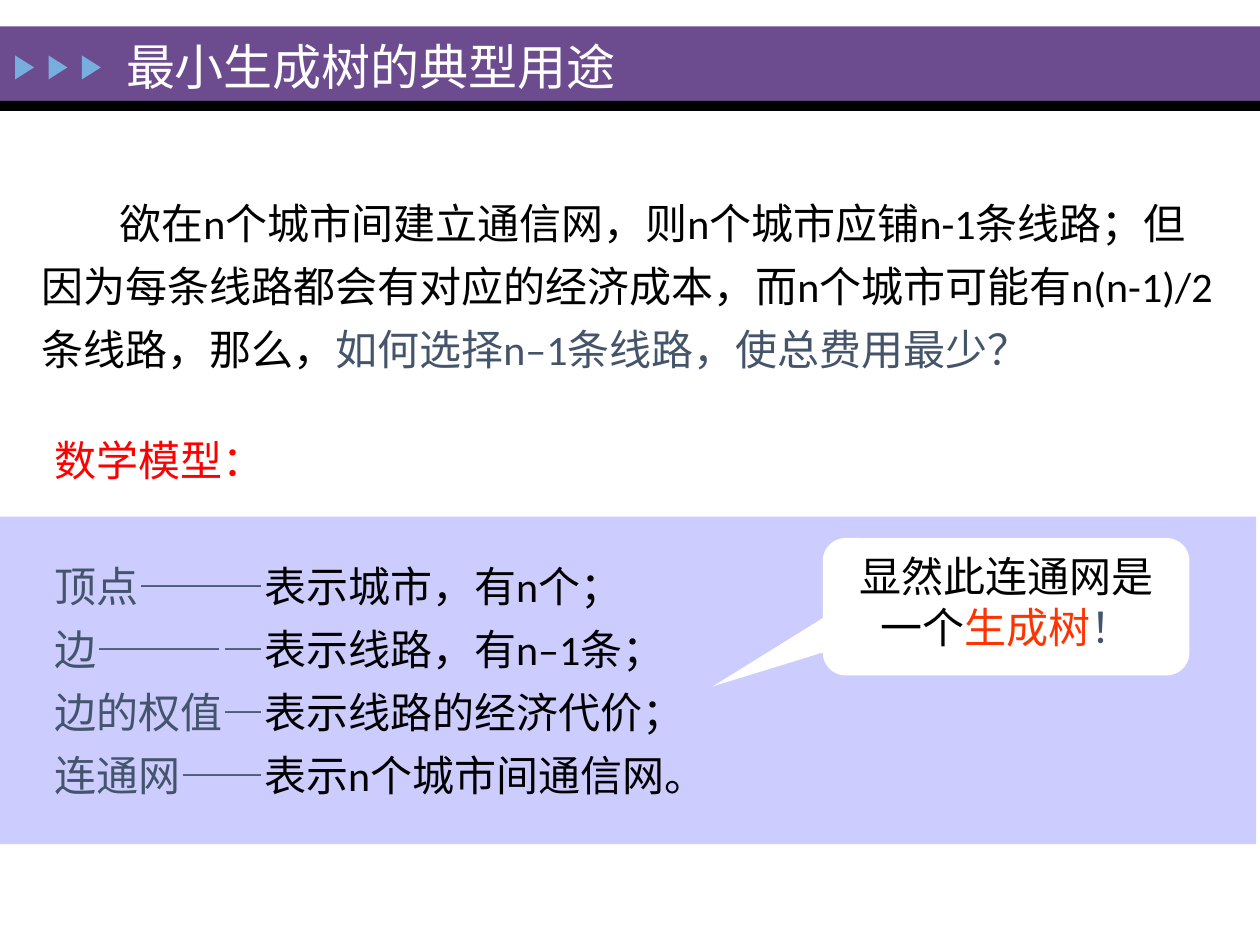
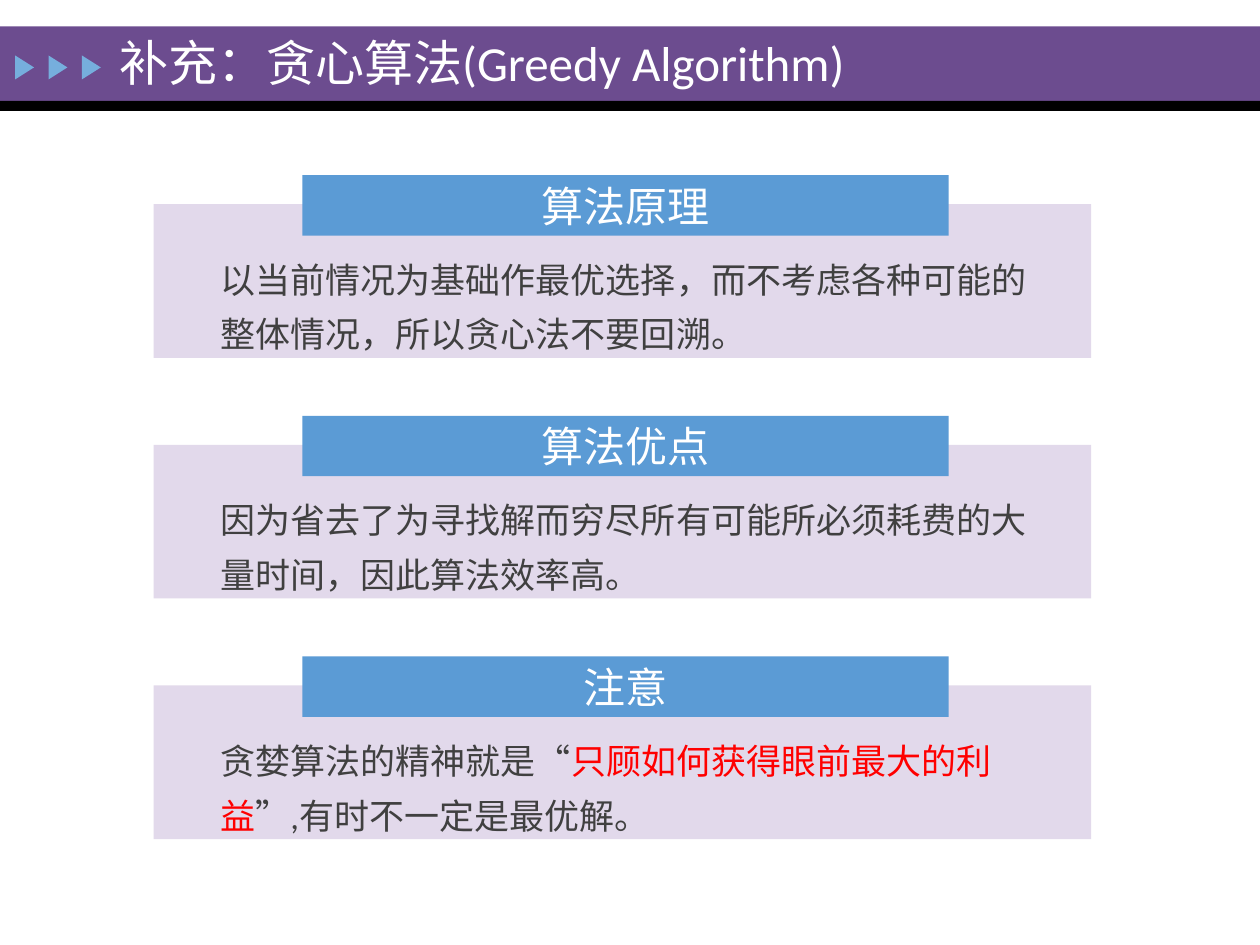
from pptx import Presentation
from pptx.dml.color import RGBColor
from pptx.enum.shapes import MSO_SHAPE
from pptx.enum.text import MSO_ANCHOR, MSO_AUTO_SIZE, PP_ALIGN
from pptx.oxml.ns import qn
from pptx.util import Inches, Pt

COLORS = {
    "band": "6C4C8F", "black": "000000", "arrow": "76AEDD", "white": "FFFFFF",
    "panel": "CCCCFF", "slate": "44546A", "red": "FF0000", "orange": "FF3300",
    "card": "E2D9EB", "label": "5B9BD5", "gray": "404040",
}
FONT = "Calibri"
COLUMNS, ROWS = 100, 75
TITLE_ONLY, TITLE_AND_BODY = 5, 1


class SlideBuilder:
    """Places elements on a grid of 100 columns by 75 rows."""

    def __init__(self):
        self.deck = Presentation()
        self.deck.slide_width, self.deck.slide_height = Inches(10), Inches(7.5)
        self.page = self.target = None

    def area(self, left, top, width, height):
        column = self.deck.slide_width / COLUMNS
        row = self.deck.slide_height / ROWS
        return [round(n) for n in (left * column, top * row, width * column, height * row)]

    def move(self, box, area):
        box.left, box.top, box.width, box.height = self.area(*area)

    def start_page(self, layout, title, area):
        self.page = self.deck.slides.add_slide(self.deck.slide_layouts[layout])
        self.target = self.page.shapes
        box = self.page.shapes.title
        self.move(box, area)
        self.set_text(box, [[(title, "white")]], size=28, anchor=MSO_ANCHOR.MIDDLE)

    def shape(self, kind, area, fill):
        shape = self.target.add_shape(kind, *self.area(*area))
        shape.shadow.inherit = False
        shape.fill.solid()
        shape.fill.fore_color.rgb = RGBColor.from_string(COLORS[fill])
        shape.line.fill.background()
        return shape

    def text(self, area, paragraphs, **style):
        box = self.target.add_textbox(*self.area(*area))
        self.set_text(box, paragraphs, **style)

    def body(self, area, paragraphs, **style):
        box = self.page.placeholders[1]
        self.move(box, area)
        self.set_text(box, paragraphs, **style)
        # Keep the list in front of the shapes already drawn.
        self.page.shapes.element.append(box.element)
        return box.text_frame.paragraphs

    def set_text(self, box, paragraphs, size=24, align=PP_ALIGN.LEFT,
                 anchor=MSO_ANCHOR.TOP, spacing=1.0, margin=0, indent=0):
        """Fill a box with paragraphs, each a list of (text, colour) spans."""
        frame = box.text_frame
        frame.word_wrap = True
        frame.auto_size = MSO_AUTO_SIZE.NONE
        frame.vertical_anchor = anchor
        for index, spans in enumerate(paragraphs):
            para = frame.add_paragraph() if index else frame.paragraphs[0]
            para.alignment = align
            para.line_spacing = spacing
            para.space_before = para.space_after = Pt(0)
            properties = para._p.get_or_add_pPr()
            properties.set("marL", str(Inches(margin)))
            properties.set("indent", str(Inches(indent)))
            properties.append(properties.makeelement(qn("a:buNone"), {}))
            para.font.name, para.font.size = FONT, Pt(size)
            para.font.bold = False
            for words, color in spans:
                span = para.add_run()
                span.text = words
                font = span.font if len(spans) > 1 else para.font
                font.color.rgb = RGBColor.from_string(COLORS[color])

    def header(self):
        """Draw the title band and move it to the master, shared by all pages."""
        parts = [
            self.shape(MSO_SHAPE.RECTANGLE, (0, 2.1, COLUMNS, 5.9), "band"),
            self.shape(MSO_SHAPE.RECTANGLE, (0, 8, COLUMNS, 0.8), "black"),
        ]
        for index in range(3):
            arrow = self.shape(MSO_SHAPE.ISOSCELES_TRIANGLE,
                               (1 + 2.65 * index, 4.6, 1.9, 1.5), "arrow")
            arrow.rotation = 90
            parts.append(arrow)
        for part in parts:
            self.deck.slide_master.shapes.element.append(part.element)

    def card(self, top, label, spans):
        self.target = self.page.shapes.add_group_shape().shapes
        self.shape(MSO_SHAPE.RECTANGLE, (12.2, top + 2.3, 74.4, 12.2), "card")
        tab = self.shape(MSO_SHAPE.RECTANGLE, (24, top, 51.3, 4.8), "label")
        self.set_text(tab, [[(label, "white")]], align=PP_ALIGN.CENTER,
                      anchor=MSO_ANCHOR.MIDDLE)
        self.text((16.5, top + 5.1, 66.1, 9.3), [spans], size=20, spacing=1.3)
        self.target = self.page.shapes


def build_uses(builder):
    builder.start_page(TITLE_AND_BODY, "最小生成树的典型用途", (9, 2.4, 55.9, 5.6))
    builder.header()
    builder.shape(MSO_SHAPE.RECTANGLE, (-0.3, 41, COLUMNS, 26), "panel")
    builder.text((2.3, 14.2, 95, 16.2), [[
        ("欲在n个城市间建立通信网，则n个城市应铺n-1条线路；但因为每条线路都会有对应的"
         "经济成本，而n个城市可能有n(n-1)/2 条线路，那么，", "black"),
        ("如何选择n–1条线路，使总费用最少？", "slate"),
    ]], spacing=1.25, indent=0.62)

    definitions = [
        ("顶点———", "表示城市，有n个；"),
        ("边————", "表示线路，有n–1条；"),
        ("边的权值—", "表示线路的经济代价；"),
        ("连通网——", "表示n个城市间通信网。"),
    ]
    model = [[("数学模型：", "red")]]
    model += [[(term, "slate"), (meaning, "black")] for term, meaning in definitions]
    lines = builder.body((3.3, 33, 57, 31.3), model, spacing=1.25,
                         margin=0.42, indent=-0.42)
    lines[1].space_before = Pt(36)

    callout = builder.shape(MSO_SHAPE.ROUNDED_RECTANGULAR_CALLOUT,
                            (65.3, 42.7, 29.1, 10.9), "white")
    callout.adjustments[0], callout.adjustments[1] = -0.8, 0.58
    builder.set_text(callout, [[("显然此连通网是一个", "black"), ("生成树", "orange"),
                                ("！", "slate")]], align=PP_ALIGN.CENTER)


def build_greedy(builder):
    builder.start_page(TITLE_ONLY, "补充：贪心算法(Greedy Algorithm)",
                       (8.5, 2.1, 71.6, 5.6))
    cards = [
        ("算法原理", [("以当前情况为基础作最优选择，而不考虑各种可能的整体情况，"
                   "所以贪心法不要回溯。", "gray")]),
        ("算法优点", [("因为省去了为寻找解而穷尽所有可能所必须耗费的大量时间，"
                   "因此算法效率高。", "gray")]),
        ("注意", [("贪婪算法的精神就是“", "gray"), ("只顾如何获得眼前最大的利益", "red"),
                ("”,有时不一定是最优解。", "gray")]),
    ]
    for index, (label, spans) in enumerate(cards):
        builder.card(13.9 + 19.1 * index, label, spans)


def main():
    builder = SlideBuilder()
    build_uses(builder)
    build_greedy(builder)
    builder.deck.save("out.pptx")


if __name__ == "__main__":
    main()
